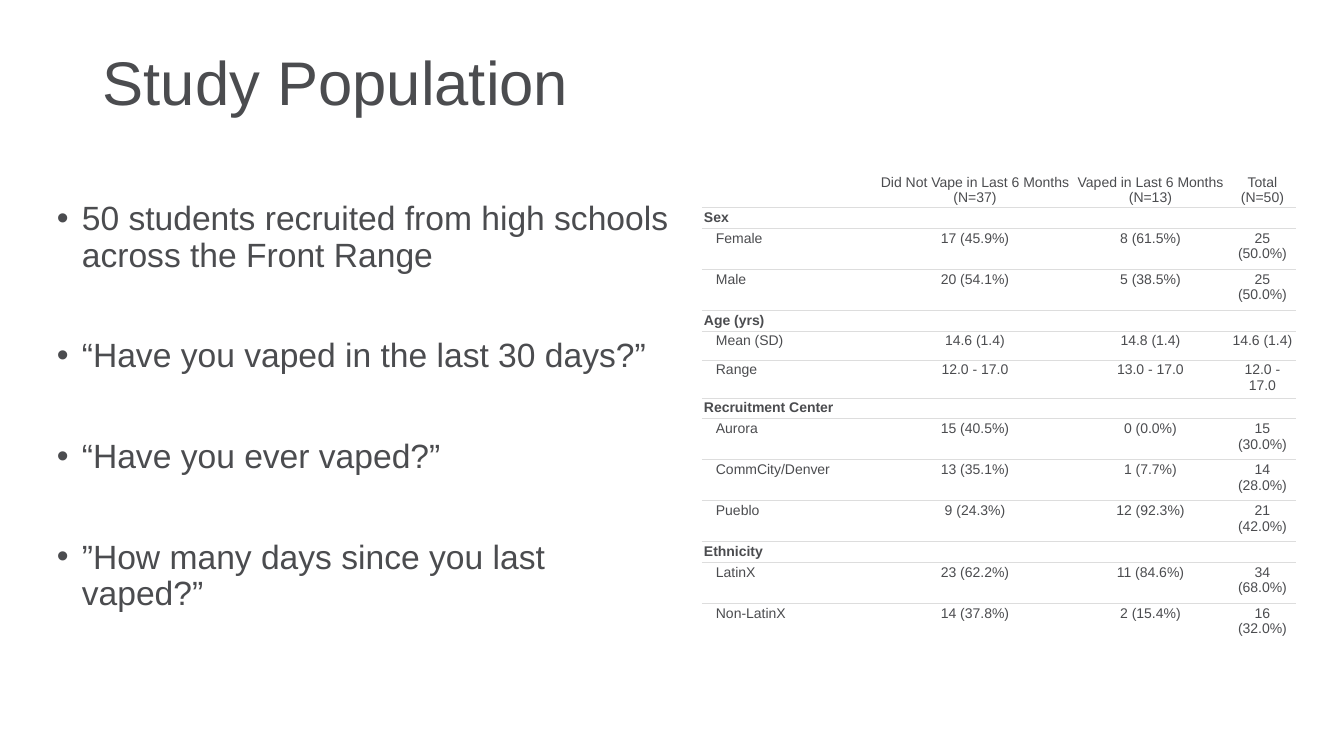
from lxml.etree import SubElement
from pptx import Presentation
from pptx.dml.color import RGBColor
from pptx.enum.text import MSO_ANCHOR as ANCHOR, PP_ALIGN as ALIGN
from pptx.oxml.ns import qn
from pptx.util import Pt

TITLE = "Study Population"
QUESTIONS = [
    "50 students recruited from high schools across the Front Range",
    "“Have you vaped in the last 30 days?”",
    "“Have you ever vaped?”",
    "”How many days since you last vaped?”",
]
HEADER = ["", "Did Not Vape in Last 6 Months (N=37)",
          "Vaped in Last 6 Months (N=13)", "Total (N=50)"]
SECTIONS = {
    "Sex": [
        ("Female", "17 (45.9%)", "8 (61.5%)", "25 (50.0%)"),
        ("Male", "20 (54.1%)", "5 (38.5%)", "25 (50.0%)"),
    ],
    "Age (yrs)": [
        ("Mean (SD)", "14.6 (1.4)", "14.8 (1.4)", "14.6 (1.4)"),
        ("Range", "12.0 - 17.0", "13.0 - 17.0", "12.0 - 17.0"),
    ],
    "Recruitment Center": [
        ("Aurora", "15 (40.5%)", "0 (0.0%)", "15 (30.0%)"),
        ("CommCity/Denver", "13 (35.1%)", "1 (7.7%)", "14 (28.0%)"),
        ("Pueblo", "9 (24.3%)", "12 (92.3%)", "21 (42.0%)"),
    ],
    "Ethnicity": [
        ("LatinX", "23 (62.2%)", "11 (84.6%)", "34 (68.0%)"),
        ("Non-LatinX", "14 (37.8%)", "2 (15.4%)", "16 (32.0%)"),
    ],
}
COLUMN_WIDTHS = [176, 194, 157, 67]
HEADER_HEIGHT, SECTION_HEIGHT, ENTRY_HEIGHT = 35, 20, 41
SHORT_HEIGHTS = {"Mean (SD)": 29, "Range": 36}
CELL_INSET, ENTRY_INDENT, BULLET_INDENT = 2, 12, 25
INK, RULE, PAPER = "4B4C4F", "DDDDDD", "FFFFFF"
FONT = "Arial"


def px(length):
    return round(length * 914400 / 100.8)


def color(hex_string):
    return RGBColor.from_string(hex_string)


def add_run(paragraph, text, size, bold=False):
    run = paragraph.add_run()
    run.text = text
    run.font.name, run.font.size, run.font.bold = FONT, Pt(size), bold
    run.font.color.rgb = color(INK)


def add_text_frame(slide, left, top, width, height):
    frame = slide.shapes.add_textbox(px(left), px(top), px(width), px(height)).text_frame
    frame.word_wrap = True
    return frame


def add_bullet(paragraph):
    props = paragraph._p.get_or_add_pPr()
    props.set("marL", str(px(BULLET_INDENT)))
    props.set("indent", str(-px(BULLET_INDENT)))
    SubElement(props, qn("a:buFont"), typeface=FONT)
    SubElement(props, qn("a:buChar"), char="•")


def rule_cell(cell, sides):
    """Draw thin rules on the given sides, and none on the others."""
    props = cell._tc.get_or_add_tcPr()
    for side in ("lnL", "lnR", "lnT", "lnB"):
        line = SubElement(props, qn(f"a:{side}"), w=str(Pt(0.75)))
        if side in sides:
            fill = SubElement(line, qn("a:solidFill"))
            SubElement(fill, qn("a:srgbClr"), val=RULE)
        else:
            SubElement(line, qn("a:noFill"))


def fill_cell(cell, text, is_label, kind, sides):
    rule_cell(cell, sides)
    cell.fill.solid()
    cell.fill.fore_color.rgb = color(PAPER)
    cell.margin_left = cell.margin_right = px(CELL_INSET)
    cell.margin_top = cell.margin_bottom = px(CELL_INSET)
    cell.vertical_anchor = ANCHOR.BOTTOM if kind == "header" else ANCHOR.TOP
    if is_label and kind == "entry":
        cell.margin_left = px(CELL_INSET + ENTRY_INDENT)
    paragraph = cell.text_frame.paragraphs[0]
    paragraph.alignment = ALIGN.LEFT if is_label else ALIGN.CENTER
    if text:
        add_run(paragraph, text, 10, bold=kind == "section")
    else:
        SubElement(paragraph._p, qn("a:endParaRPr"), sz="1000")


def add_population_table(slide, left, top):
    rows = [("header", HEADER_HEIGHT, HEADER)]
    for section, entries in SECTIONS.items():
        rows.append(("section", SECTION_HEIGHT, [section, "", "", ""]))
        rows += [("entry", SHORT_HEIGHTS.get(entry[0], ENTRY_HEIGHT), entry)
                 for entry in entries]
    frame = slide.shapes.add_table(
        len(rows), len(COLUMN_WIDTHS), px(left), px(top),
        px(sum(COLUMN_WIDTHS)), px(sum(height for _, height, _ in rows)))
    table = frame.table
    table.first_row = table.horz_banding = False
    for column, width in zip(table.columns, COLUMN_WIDTHS):
        column.width = px(width)
    for r, (kind, height, texts) in enumerate(rows):
        table.rows[r].height = px(height)
        sides = [side for side, shown in
                 (("lnT", r > 0), ("lnB", r < len(rows) - 1)) if shown]
        for c, text in enumerate(texts):
            fill_cell(table.cell(r, c), text, c == 0, kind, sides)


def main():
    deck = Presentation()
    deck.slide_width, deck.slide_height = px(1344), px(756)
    slide = deck.slides.add_slide(deck.slide_layouts[6])

    heading = add_text_frame(slide, 93, 29, 1159, 114)
    heading.vertical_anchor = ANCHOR.MIDDLE
    heading.paragraphs[0].line_spacing = 0.9
    add_run(heading.paragraphs[0], TITLE, 44)

    body = add_text_frame(slide, 47, 197, 636, 451)
    for i, question in enumerate(QUESTIONS):
        paragraph = body.add_paragraph() if i else body.paragraphs[0]
        paragraph.line_spacing = 0.9
        paragraph.space_before = Pt(46 if i else 10)
        add_bullet(paragraph)
        add_run(paragraph, question, 24)

    add_population_table(slide, 702, 170)
    deck.save("out.pptx")


if __name__ == "__main__":
    main()
